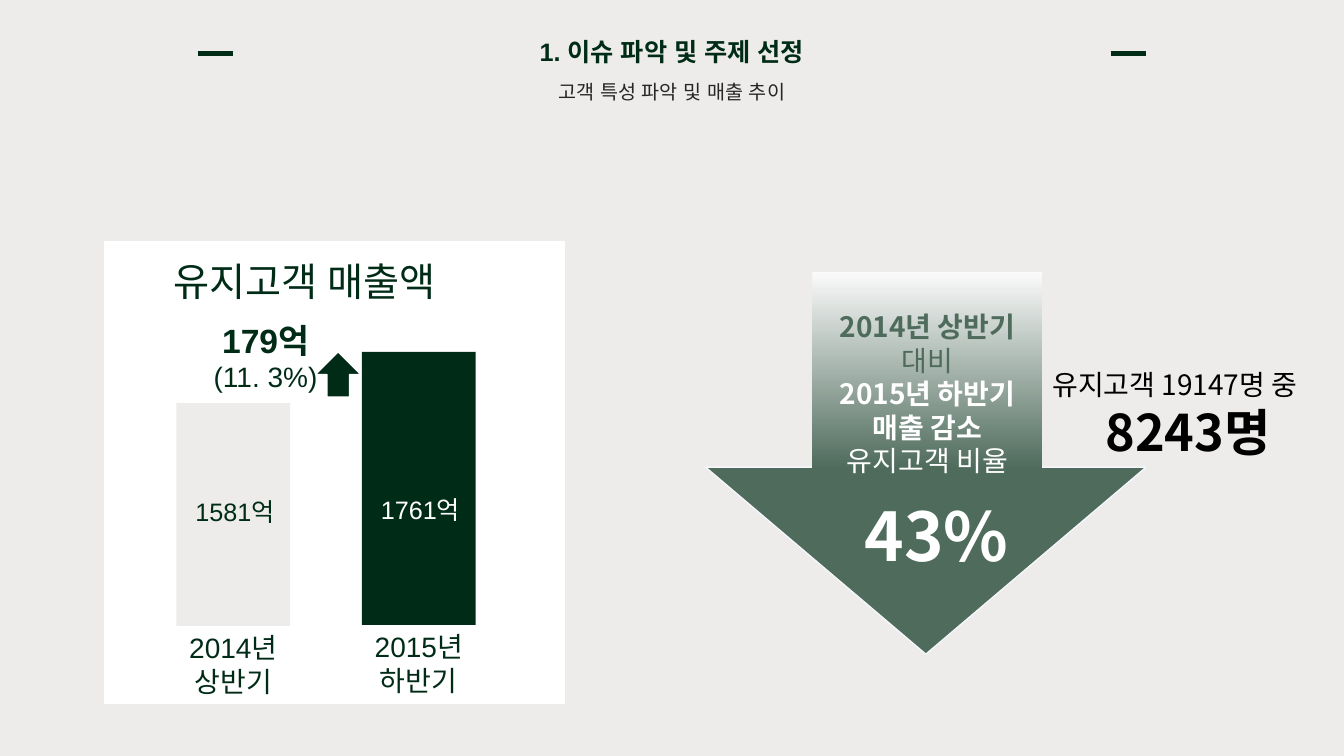
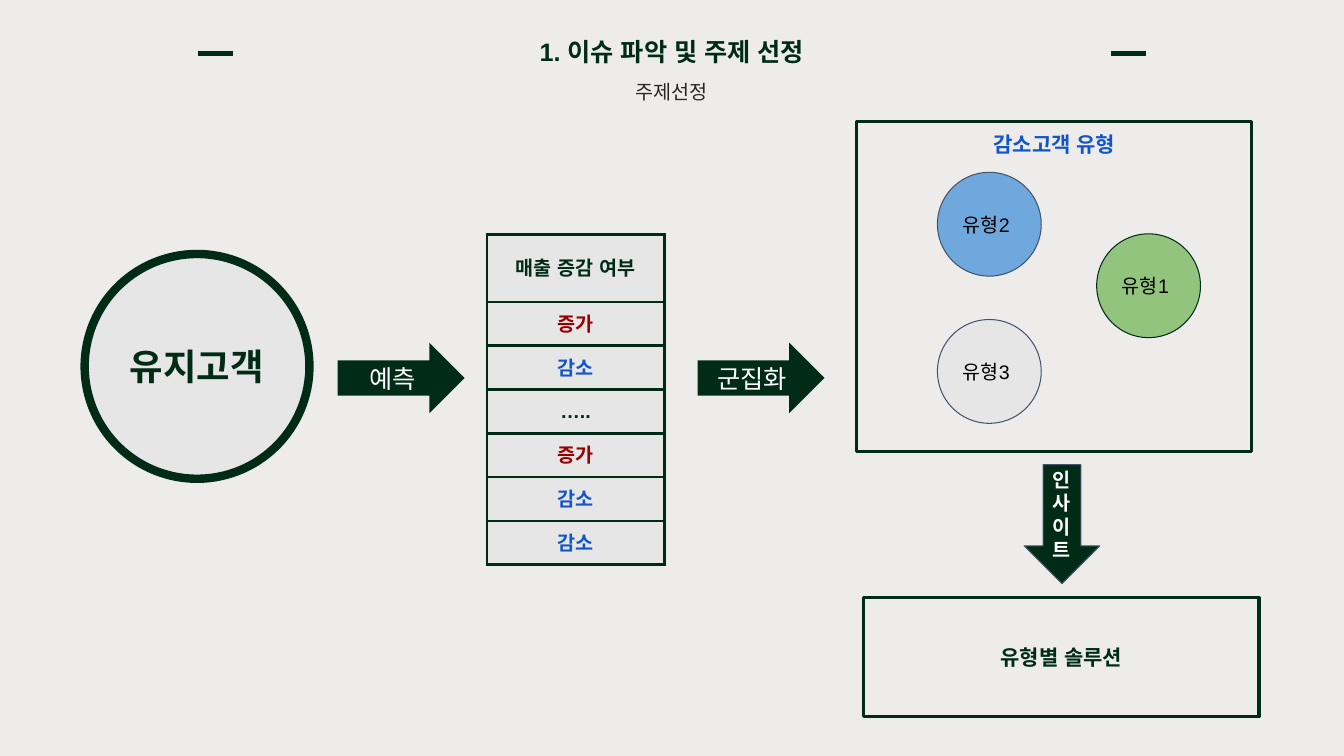
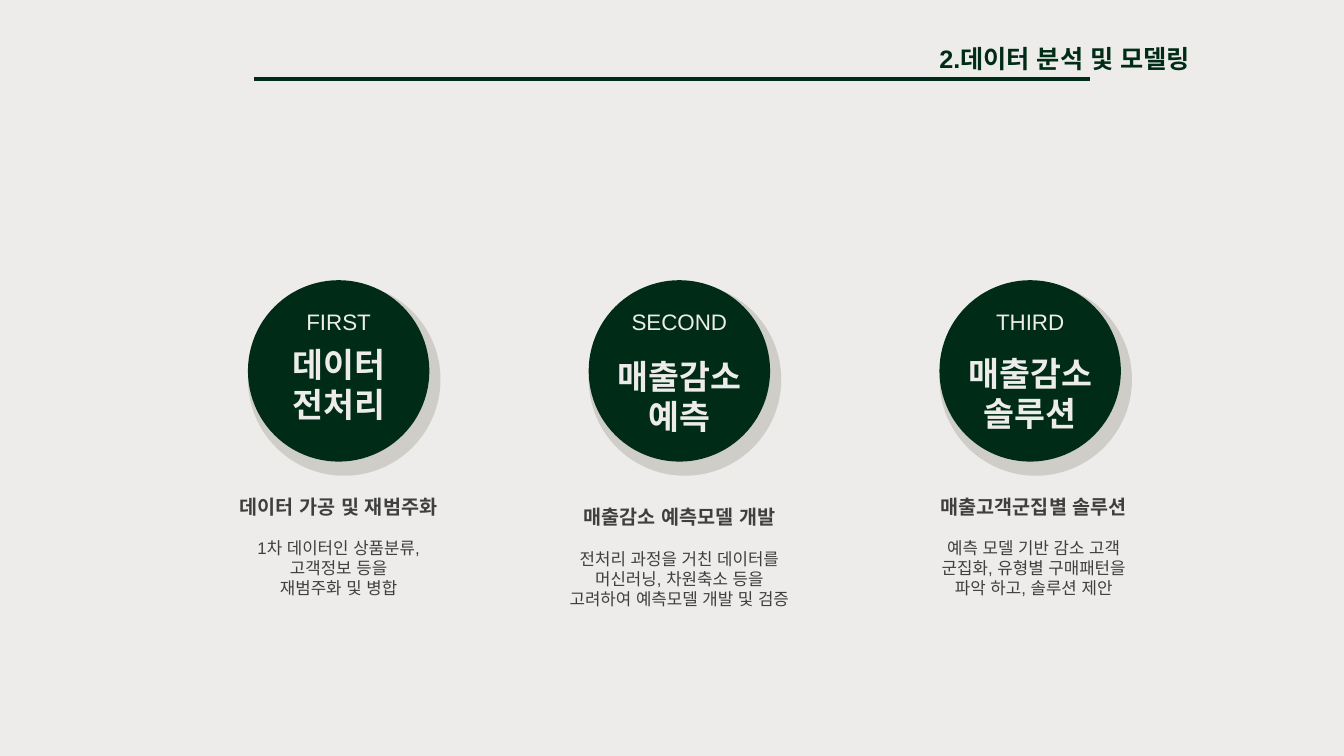
"""Builds three slides on retained customers: sales trend, topic choice and modelling steps."""
from dataclasses import dataclass
from typing import NamedTuple

from lxml.etree import SubElement
from pptx import Presentation
from pptx.dml.color import RGBColor
from pptx.enum.shapes import MSO_CONNECTOR, MSO_SHAPE
from pptx.enum.text import MSO_ANCHOR, PP_ALIGN
from pptx.oxml.ns import qn
from pptx.shapes.autoshape import Shape
from pptx.slide import Slide
from pptx.table import _Cell
from pptx.text.text import TextFrame
from pptx.util import Inches, Pt


@dataclass(frozen=True)
class Theme:
    paper: str = "EDECEA"
    green: str = "002C17"
    sage: str = "4E6B5C"
    mist: str = "FAFAFA"
    white: str = "FFFFFF"
    black: str = "000000"
    grey: str = "E7E6E6"
    ink: str = "262626"
    body: str = "3F3F3F"
    slate: str = "44546A"
    blue: str = "1155CC"
    red: str = "980000"
    sky: str = "6FA8DC"
    leaf: str = "93C47D"
    shade: str = "BFBCB5"
    sans: str = "Arial"
    korean: str = "Noto Sans CJK KR"
    huge: int = 48
    large: int = 36
    heading: int = 28
    hub: int = 26
    step: int = 24
    lead: int = 20
    title: int = 18
    ordinal: int = 16
    panel: int = 15
    label: int = 14
    small: int = 12
    leading: float = 1.2


THEME = Theme()
GRID = Inches(0.1)
COLUMNS, ROWS = 133.33, 75
CENTER, LEFT = PP_ALIGN.CENTER, PP_ALIGN.LEFT
TOP, MIDDLE = MSO_ANCHOR.TOP, MSO_ANCHOR.MIDDLE


class Box(NamedTuple):
    left: float
    top: float
    width: float
    height: float


class Line(NamedTuple):
    text: str
    size: int
    color: str = THEME.green
    bold: bool = False
    align: PP_ALIGN = CENTER
    font: str = THEME.sans
    gap: float = 0


class Outline(NamedTuple):
    color: str
    points: float


class Bar(NamedTuple):
    box: Box
    fill: str
    value: Line
    period: str


class Kind(NamedTuple):
    name: str
    left: float
    top: float
    fill: str
    edge: str


class Step(NamedTuple):
    left: float
    ordinal: str
    name: tuple[str, str]
    name_top: float
    note: Box
    summary: str
    details: tuple[str, ...]


def cells(*lengths: float) -> list[int]:
    """Turn grid columns and rows into slide lengths."""
    return [round(length * GRID) for length in lengths]


def write(frame: TextFrame, lines: list[Line]) -> None:
    """Fill a text frame with one paragraph for each line."""
    for index, line in enumerate(lines):
        paragraph = frame.add_paragraph() if index else frame.paragraphs[0]
        settings = {
            "alignment": line.align,
            "line_spacing": Pt(line.size * THEME.leading),
            "space_before": Pt(line.gap),
        }
        for name, value in settings.items():
            setattr(paragraph, name, value)
        run = paragraph.add_run()
        run.text = line.text
        for name, value in {"size": Pt(line.size), "bold": line.bold, "name": line.font}.items():
            setattr(run.font, name, value)
        run.font.color.rgb = RGBColor.from_string(line.color)
        SubElement(run.font._element, qn("a:ea"), typeface=line.font)


def set_frame(frame: TextFrame, anchor: MSO_ANCHOR, inset: float) -> None:
    """Set wrapping, anchor and insets of a text frame."""
    side, edge = cells(1, inset)
    settings = {
        "word_wrap": True, "vertical_anchor": anchor,
        "margin_left": side, "margin_right": side,
        "margin_top": edge, "margin_bottom": edge,
    }
    for name, value in settings.items():
        setattr(frame, name, value)


def add_text(slide: Slide, box: Box, *lines: Line, anchor: MSO_ANCHOR = TOP) -> None:
    """Add a wrapped text box."""
    frame = slide.shapes.add_textbox(*cells(*box)).text_frame
    set_frame(frame, anchor, 0.5)
    write(frame, list(lines))


def add_figure(slide: Slide, kind: MSO_SHAPE, box: Box, fill: str | None = None,
               outline: Outline | None = None, line: Line | None = None,
               anchor: MSO_ANCHOR = MIDDLE) -> Shape:
    """Add a preset shape with optional fill, outline and text."""
    shape = slide.shapes.add_shape(kind, *cells(*box))
    shape.shadow.inherit = False
    if fill:
        shape.fill.solid()
        shape.fill.fore_color.rgb = RGBColor.from_string(fill)
    else:
        shape.fill.background()
    if outline:
        shape.line.color.rgb = RGBColor.from_string(outline.color)
        shape.line.width = Pt(outline.points)
    else:
        shape.line.fill.background()
    if line:
        set_frame(shape.text_frame, anchor, 1)
        write(shape.text_frame, [line])
    return shape


def add_rule(slide: Slide, start: float, end: float, row: float) -> None:
    """Add a horizontal green rule."""
    left, right, height = cells(start, end, row)
    rule = slide.shapes.add_connector(MSO_CONNECTOR.STRAIGHT, left, height, right, height)
    rule.line.color.rgb = RGBColor.from_string(THEME.green)
    rule.line.width = Pt(3)
    SubElement(rule._element.spPr, qn("a:effectLst"))


def add_page(presentation: Presentation) -> Slide:
    """Add a blank slide on the paper colour."""
    slide = presentation.slides.add_slide(presentation.slide_layouts[6])
    slide.background.fill.solid()
    slide.background.fill.fore_color.rgb = RGBColor.from_string(THEME.paper)
    return slide


def add_header(slide: Slide, subtitle: str) -> None:
    """Add the centred chapter title, its subtitle and the two dashes."""
    for start in (19.6, 110.2):
        add_rule(slide, start, start + 3.5, 5.3)
    add_text(slide, Box(51.2, 3.1, 30.9, 4),
             Line("1. 이슈 파악 및 주제 선정", THEME.title, bold=True))
    add_text(slide, Box(51.2, 7.4, 30.9, 3.4), Line(subtitle, THEME.label, THEME.ink))


def add_sales_panel(slide: Slide) -> None:
    """Draw the panel that compares sales of two half-years."""
    add_figure(slide, MSO_SHAPE.RECTANGLE, Box(10.2, 23.8, 45.9, 46.1),
               THEME.white, Outline(THEME.paper, 1))
    add_text(slide, Box(16.2, 25, 33.5, 5.7),
             Line("유지고객 매출액", THEME.heading, align=LEFT))
    bars = (
        Bar(Box(17.5, 40, 11.3, 22.1), THEME.paper,
            Line("1581억", THEME.title, align=LEFT), "2014년 상반기"),
        Bar(Box(35.9, 34.9, 11.3, 27.1), THEME.green,
            Line("1761억", THEME.title, THEME.white, align=LEFT), "2015년 하반기"),
    )
    for bar in bars:
        bottom = bar.box.top + bar.box.height
        add_figure(slide, MSO_SHAPE.RECTANGLE, bar.box, bar.fill)
        add_text(slide, Box(bar.box.left + 0.9, bottom - 13.4, bar.box.width, 4), bar.value)
        add_text(slide, Box(bar.box.left, bottom, bar.box.width, 7.7),
                 Line(bar.period, THEME.lead))
    add_figure(slide, MSO_SHAPE.UP_ARROW, Box(31.3, 34.9, 4.5, 4.5),
               THEME.green, Outline(THEME.white, 1))
    add_text(slide, Box(19.6, 31.2, 13.5, 8.4),
             Line("179억", THEME.step, bold=True), Line("(11. 3%)", THEME.lead))


def add_decline_arrow(slide: Slide) -> None:
    """Draw the large arrow with the share of declining customers."""
    add_figure(slide, MSO_SHAPE.DOWN_ARROW, Box(70, 27.8, 43.7, 37.1),
               THEME.sage, Outline("F5F7FC", 1))
    add_text(slide, Box(84.8, 48.5, 16.6, 9.1),
             Line("43%", THEME.huge, THEME.white, True, LEFT, THEME.korean))
    fade = add_figure(slide, MSO_SHAPE.RECTANGLE, Box(80.6, 27, 22.8, 19.6)).fill
    fade.gradient()
    fade.gradient_angle = 270
    for stop, color in zip(fade.gradient_stops, (THEME.mist, THEME.sage)):
        stop.color.rgb = RGBColor.from_string(color)
    phrases = (
        ("2014년 상반기", THEME.sage, True),
        ("대비", THEME.sage, False),
        ("2015년 하반기 매출 감소", THEME.white, True),
        ("유지고객 비율", THEME.white, False),
    )
    add_text(slide, Box(80.6, 30.2, 22.8, 17.8),
             *(Line(text, THEME.lead, color, bold, font=THEME.korean)
               for text, color, bold in phrases))
    add_text(slide, Box(103.4, 36, 28.9, 10.4),
             Line("유지고객 19147명 중", THEME.lead, THEME.black, False, LEFT, THEME.korean),
             Line("8243명", THEME.large, THEME.black, True, font=THEME.korean))


def style_cell(cell: _Cell, line: Line) -> None:
    """Give a table cell its borders, fill and text."""
    properties = cell._tc.get_or_add_tcPr()
    for side in ("lnL", "lnR", "lnT", "lnB"):
        border = SubElement(properties, qn(f"a:{side}"), w=str(Pt(2.25)))
        SubElement(SubElement(border, qn("a:solidFill")), qn("a:srgbClr"), val=THEME.green)
    cell.fill.solid()
    cell.fill.fore_color.rgb = RGBColor.from_string(THEME.grey)
    cell.vertical_anchor = MIDDLE
    for side in ("left", "right", "top", "bottom"):
        setattr(cell, f"margin_{side}", GRID)
    write(cell.text_frame, [line])


def add_trend_table(slide: Slide) -> None:
    """Add the one-column table of predicted sales changes."""
    rise, fall = ("증가", THEME.red), ("감소", THEME.blue)
    entries = [("매출 증감 여부", THEME.green), rise, fall,
               ("…..", THEME.green), rise, fall, fall]
    table = slide.shapes.add_table(len(entries), 1, *cells(48.3, 23.3, 17.6, 32.7)).table
    table.first_row = table.horz_banding = False
    for index, (text, color) in enumerate(entries):
        table.rows[index].height = cells(4.35 if index else 6.65)[0]
        style_cell(table.cell(index, 0), Line(text, THEME.label, color, True))


def add_topic_flow(slide: Slide) -> None:
    """Draw the flow from customers through prediction and clustering to solutions."""
    add_figure(slide, MSO_SHAPE.OVAL, Box(8.4, 25.2, 22.3, 22.3), THEME.grey,
               Outline(THEME.green, 6), Line("유지고객", THEME.hub, bold=True))
    for left, text in ((33.5, "예측"), (69.2, "군집화")):
        add_figure(slide, MSO_SHAPE.RIGHT_ARROW, Box(left, 34, 12.6, 7), THEME.green,
                   line=Line(text, THEME.title, THEME.white))
    add_trend_table(slide)
    frame = Outline(THEME.green, 2.25)
    add_figure(slide, MSO_SHAPE.RECTANGLE, Box(85, 12.1, 39.2, 32.7), outline=frame,
               line=Line("감소고객 유형", THEME.panel, THEME.blue, True), anchor=TOP)
    kinds = (
        Kind("유형2", 93, 17.1, THEME.sky, THEME.slate),
        Kind("유형1", 108.8, 23.2, THEME.leaf, THEME.green),
        Kind("유형3", 93, 31.7, THEME.grey, THEME.slate),
    )
    for kind in kinds:
        add_figure(slide, MSO_SHAPE.OVAL, Box(kind.left, kind.top, 10.3, 10.3), kind.fill,
                   Outline(kind.edge, 0.75),
                   Line(kind.name, THEME.label, THEME.black, align=LEFT))
    add_figure(slide, MSO_SHAPE.DOWN_ARROW, Box(101.6, 46.1, 7.5, 11.8), THEME.green,
               Outline(THEME.slate, 0.75), Line("인사이트", THEME.label, THEME.white, True))
    add_figure(slide, MSO_SHAPE.RECTANGLE, Box(85.7, 59.3, 39.2, 11.8), outline=frame,
               line=Line("유형별 솔루션", THEME.panel, bold=True))


def add_step(slide: Slide, step: Step) -> None:
    """Draw a step as a shaded disc with its name and note."""
    shade = add_figure(slide, MSO_SHAPE.OVAL, Box(step.left, 28.1, 19.1, 19.1), THEME.shade)
    SubElement(shade._element.spPr.find(f".//{qn('a:srgbClr')}"), qn("a:alpha"), val="63000")
    add_figure(slide, MSO_SHAPE.OVAL, Box(step.left, 27.8, 18, 18), THEME.green)
    add_text(slide, Box(step.left + 3, 30.1, 12, 3.7),
             Line(step.ordinal, THEME.ordinal, THEME.paper), anchor=MIDDLE)
    add_text(slide, Box(step.left + 0.2, step.name_top, 17.6, 9.1),
             *(Line(part, THEME.step, THEME.paper, True) for part in step.name))
    add_text(slide, step.note, Line(step.summary, THEME.label, THEME.body, True),
             *(Line(text, THEME.small, THEME.body, gap=0 if index else 14)
               for index, text in enumerate(step.details)), anchor=MIDDLE)


def add_modelling_steps(slide: Slide) -> None:
    """Add the chapter title and the three modelling steps."""
    add_text(slide, Box(92.2, 3.8, 32.4, 4),
             Line("2.데이터 분석 및 모델링", THEME.title, bold=True, align=LEFT))
    add_rule(slide, 25.2, 108.1, 7.8)
    steps = (
        Step(24.6, "FIRST", ("데이터", "전처리"), 33.6, Box(19.8, 48.5, 27.6, 11.4),
             "데이터 가공 및 재범주화",
             ("1차 데이터인 상품분류,", "고객정보 등을", "재범주화 및 병합")),
        Step(58.4, "SECOND", ("매출감소", "예측"), 34.8, Box(55, 48.5, 24.8, 13.5),
             "매출감소 예측모델 개발",
             ("전처리 과정을 거친 데이터를",
              "머신러닝, 차원축소 등을 고려하여 예측모델 개발 및 검증")),
        Step(93.2, "THIRD", ("매출감소", "솔루션"), 34.5, Box(91, 48.5, 23.1, 11.4),
             "매출고객군집별 솔루션",
             ("예측 모델 기반 감소 고객 군집화, 유형별 구매패턴을",
              "파악 하고, 솔루션 제안")),
    )
    for step in steps:
        add_step(slide, step)


def main() -> None:
    """Build and save the presentation."""
    presentation = Presentation()
    presentation.slide_width, presentation.slide_height = cells(COLUMNS, ROWS)
    sales = add_page(presentation)
    add_header(sales, "고객 특성 파악 및 매출 추이")
    add_sales_panel(sales)
    add_decline_arrow(sales)
    topic = add_page(presentation)
    add_header(topic, "주제선정")
    add_topic_flow(topic)
    add_modelling_steps(add_page(presentation))
    presentation.save("out.pptx")


if __name__ == "__main__":
    main()
